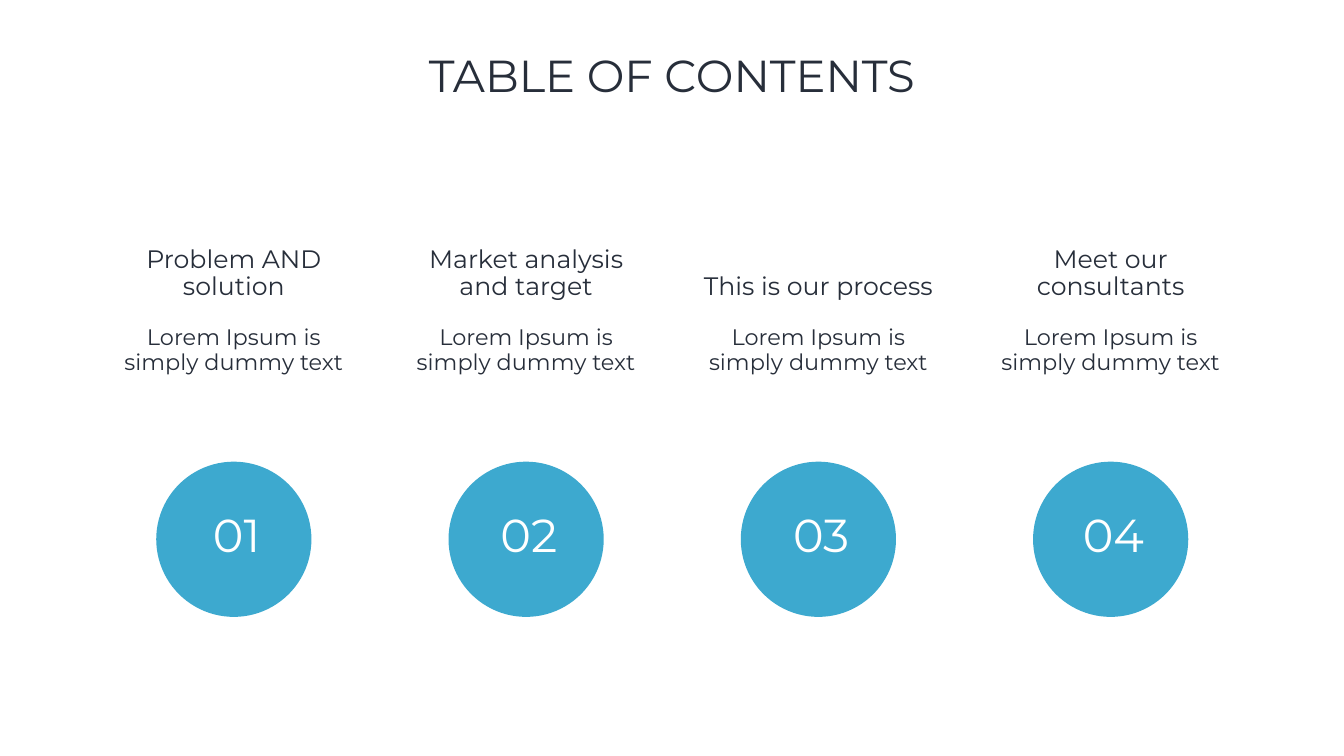
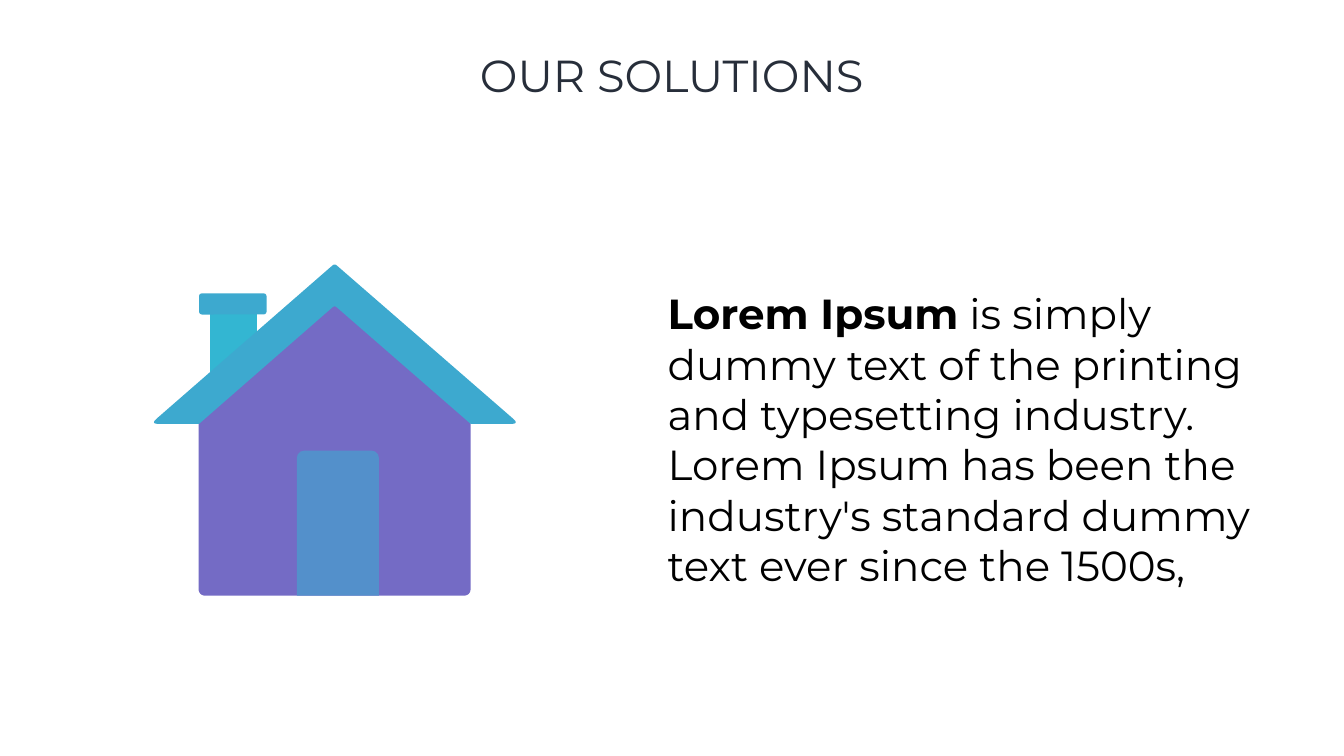
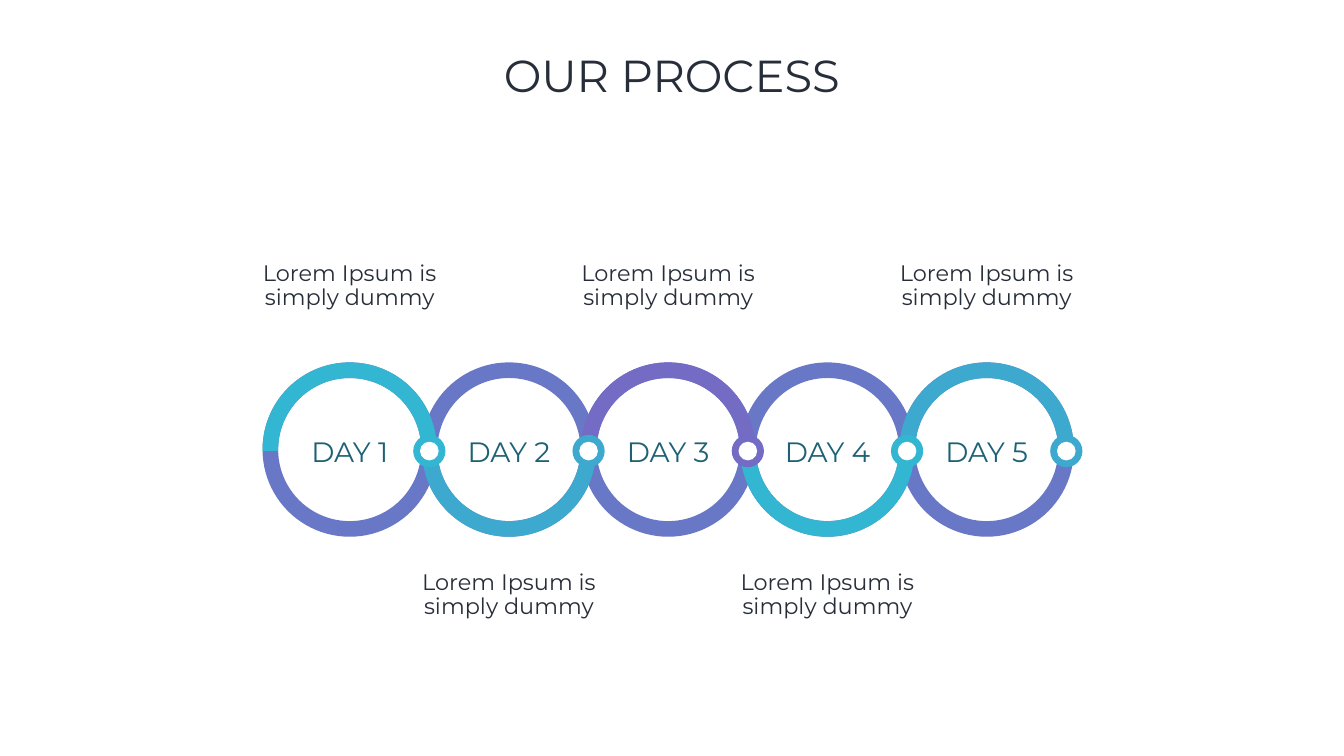
import math

import pptx
import pptx.dml.color
import pptx.enum.shapes
import pptx.enum.text
import pptx.util

Inches = pptx.util.Inches
RGBColor = pptx.dml.color.RGBColor
Shape = pptx.enum.shapes.MSO_SHAPE
Align = pptx.enum.text.PP_ALIGN
Anchor = pptx.enum.text.MSO_ANCHOR

INK = RGBColor(0x27, 0x2E, 0x3A)
BLACK = RGBColor(0x00, 0x00, 0x00)
WHITE = RGBColor(0xFF, 0xFF, 0xFF)
BLUE = RGBColor(0x3D, 0xA9, 0xCF)
TEAL = RGBColor(0x33, 0xB6, 0xD2)
VIOLET = RGBColor(0x74, 0x6B, 0xC5)
INDIGO = RGBColor(0x69, 0x77, 0xC7)
DOOR_BLUE = RGBColor(0x53, 0x90, 0xCB)
DEEP_TEAL = RGBColor(0x1C, 0x62, 0x74)
FONT = "Montserrat"


def arc(cx, cy, radius, start, end, steps=48):
    angles = [math.radians(start + (end - start) * i / steps) for i in range(steps + 1)]
    return [(cx + radius * math.cos(a), cy + radius * math.sin(a)) for a in angles]


def toward(corner, target, distance):
    share = distance / math.dist(corner, target)
    return [c + (t - c) * share for c, t in zip(corner, target)]


def rounded(corners, steps=6):
    points = []
    for i, (x, y, radius) in enumerate(corners):
        if not radius:
            points.append((x, y))
            continue
        before = toward((x, y), corners[i - 1][:2], radius)
        after = toward((x, y), corners[(i + 1) % len(corners)][:2], radius)
        for t in (step / steps for step in range(steps + 1)):
            points.append([(1 - t) ** 2 * b + 2 * t * (1 - t) * c + t * t * a
                           for b, c, a in zip(before, (x, y), after)])
    return points


class Deck:
    def __init__(self):
        self.presentation = pptx.Presentation()
        self.presentation.slide_width = Inches(26.67)
        self.presentation.slide_height = Inches(15)
        self.slide = None

    def new_slide(self, title):
        self.slide = self.presentation.slides.add_slide(self.presentation.slide_layouts[6])
        self.text(title, 1.83, 0.8, 23, 2.9, 64)

    def text(self, words, left, top, width, height, size, color=INK, lead="",
             align=Align.CENTER, anchor=Anchor.TOP, spacing=0.9, insets=(0.27, 0.27)):
        box = self.slide.shapes.add_textbox(
            Inches(left), Inches(top), Inches(width), Inches(height))
        frame = box.text_frame
        frame.word_wrap = True
        frame.vertical_anchor = anchor
        frame.margin_left = frame.margin_right = Inches(insets[0])
        frame.margin_top = frame.margin_bottom = Inches(insets[1])
        frame.text = lead or words
        paragraph = frame.paragraphs[0]
        paragraph.alignment = align
        paragraph.line_spacing = spacing
        if lead:
            paragraph.runs[0].font.bold = True
            paragraph.add_run().text = words
        for run in paragraph.runs:
            run.font.name = FONT
            run.font.size = pptx.util.Pt(size)
            run.font.color.rgb = color
        return frame

    def paint(self, shape, color):
        shape.shadow.inherit = False
        shape.fill.solid()
        shape.fill.fore_color.rgb = color
        shape.line.fill.background()

    def preset(self, kind, left, top, width, height, color, adjustments=()):
        shape = self.slide.shapes.add_shape(
            kind, Inches(left), Inches(top), Inches(width), Inches(height))
        for i, value in enumerate(adjustments):
            shape.adjustments[i] = value
        self.paint(shape, color)

    def disc(self, cx, cy, diameter, color):
        self.preset(Shape.OVAL, cx - diameter / 2, cy - diameter / 2, diameter, diameter, color)

    def outline(self, points, color):
        start, *rest = [(Inches(x), Inches(y)) for x, y in points]
        builder = self.slide.shapes.build_freeform(*start)
        builder.add_line_segments(rest, close=True)
        self.paint(builder.convert_to_shape(), color)


def contents_slide(deck):
    deck.new_slide("TABLE OF CONTENTS")
    chapters = ["Problem AND solution", "Market analysis and target",
                "This is our process", "Meet our consultants"]
    for i, chapter in enumerate(chapters):
        shift = 5.8 * i
        deck.text(chapter, 2.02 + shift, 4.98, 5.24, 1.27, 36, anchor=Anchor.BOTTOM)
        deck.text("Lorem Ipsum is simply dummy text", 2.02 + shift, 6.21, 5.24, 2.15, 32)
        deck.disc(4.64 + shift, 10.7, 3.08, BLUE)
        deck.text(f"{i + 1:02}", 3.37 + shift, 9.94, 2.65, 1.45, 66, WHITE,
                  anchor=Anchor.MIDDLE)


def solutions_slide(deck):
    deck.new_slide("OUR SOLUTIONS")
    summary = deck.text(
        " is simply dummy text of the printing and typesetting industry. Lorem Ipsum has been "
        "the industry's standard dummy text ever since the 1500s,",
        13.15, 5.66, 12.77, 6.16, 60, BLACK, lead="Lorem Ipsum",
        align=Align.LEFT, spacing=1, insets=(0.1, 0.05))
    summary.auto_size = pptx.enum.text.MSO_AUTO_SIZE.SHAPE_TO_FIT_TEXT

    chimney = [(4.17, 6.18), (4.17, 7.45), (5.1, 6.64), (5.1, 6.18)]
    walls = [(6.64, 6, 0.06), (3.94, 8.34, 0), (3.94, 11.82, 0.15),
             (9.34, 11.82, 0.15), (9.34, 8.34, 0)]
    roof = [(6.64, 5.23, 0.06), (2.99, 8.41, 0.15), (3.95, 8.41, 0),
            (6.64, 6.06, 0.06), (9.34, 8.41, 0), (10.3, 8.41, 0.15)]
    deck.outline(chimney, TEAL)
    deck.outline(rounded(walls), VIOLET)
    deck.preset(Shape.ROUNDED_RECTANGLE, 3.95, 5.82, 1.34, 0.42, BLUE, [0.14])
    deck.preset(Shape.ROUND_2_SAME_RECTANGLE, 5.89, 8.94, 1.63, 2.88, DOOR_BLUE, [0.09, 0])
    deck.outline(rounded(roof), BLUE)


def process_slide(deck):
    deck.new_slide("OUR PROCESS")
    day_colors = [TEAL, BLUE, VIOLET, TEAL, BLUE]
    centers = [6.94 + 3.16 * i for i in range(len(day_colors))]
    middle, seam, outer, inner = 8.92, 8.95, 1.73, 1.42

    for cx in centers:
        deck.preset(Shape.DONUT, cx - outer, middle - outer, 2 * outer, 2 * outer,
                    INDIGO, [(outer - inner) / (2 * outer)])
    for i, (cx, color) in enumerate(zip(centers, day_colors)):
        end = 1 if i % 2 else 361
        deck.outline(arc(cx, middle, outer, 179, end) + arc(cx, middle, inner, end, 179), color)
    for cx, color in zip(centers, day_colors):
        deck.disc(cx + 1.58, seam, 0.64, color)
        deck.disc(cx + 1.58, seam, 0.37, WHITE)
    for i, cx in enumerate(centers):
        deck.text(f"DAY {i + 1}", cx - 1.41, 8.36, 2.82, 1.13, 40, DEEP_TEAL, spacing=1)
        deck.text("Lorem Ipsum is simply dummy", cx - 2.39, 11.06 if i % 2 else 4.93,
                  4.78, 2.15, 32)


def main():
    deck = Deck()
    contents_slide(deck)
    solutions_slide(deck)
    process_slide(deck)
    deck.presentation.save("out.pptx")


if __name__ == "__main__":
    main()
